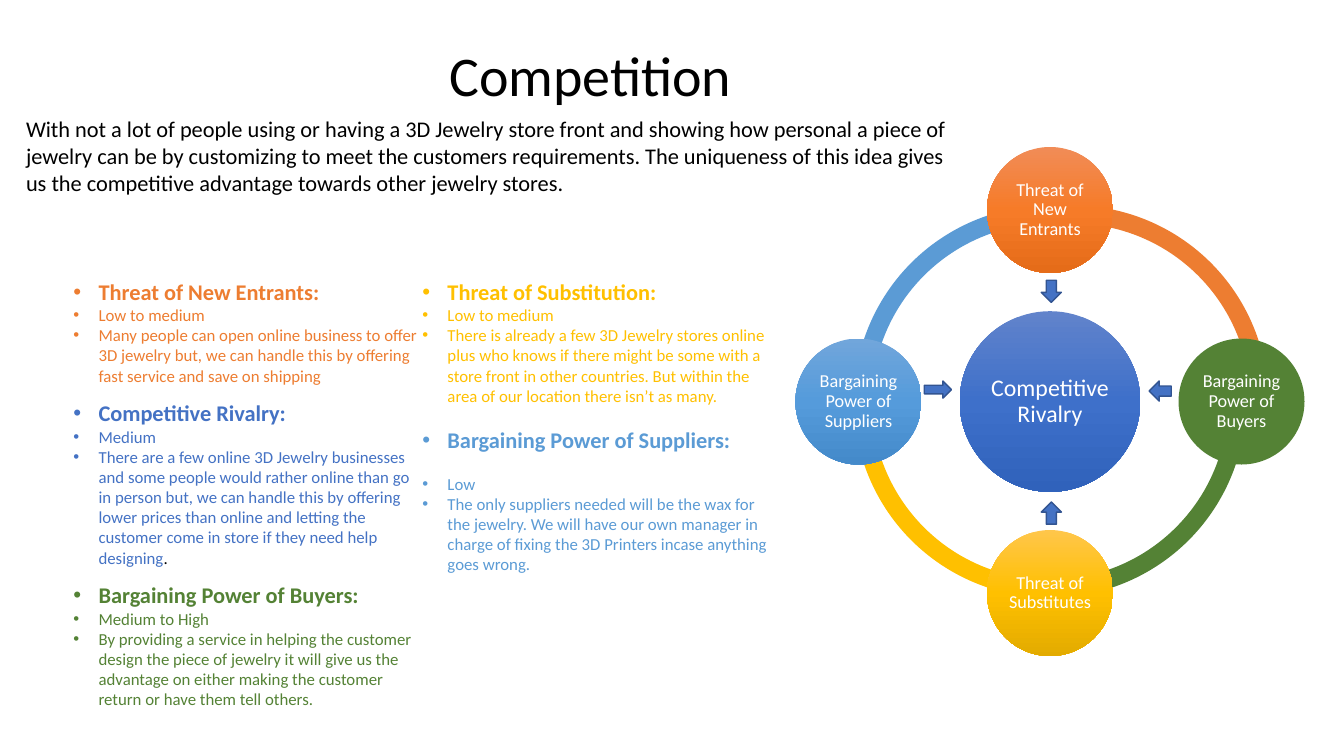
from copy import deepcopy
from dataclasses import dataclass
from math import cos, radians, sin

from lxml import etree
from pptx import Presentation
from pptx.dml.color import RGBColor
from pptx.enum.shapes import MSO_SHAPE
from pptx.enum.text import MSO_ANCHOR, PP_ALIGN
from pptx.oxml.ns import qn
from pptx.util import Inches, Pt

ELLIPSE, BLOCK_ARC = MSO_SHAPE.OVAL, MSO_SHAPE.BLOCK_ARC
RIGHT_ARROW, DOWN_ARROW = MSO_SHAPE.RIGHT_ARROW, MSO_SHAPE.DOWN_ARROW
MIDDLE, TOP = MSO_ANCHOR.MIDDLE, MSO_ANCHOR.TOP
LEFT, CENTER = PP_ALIGN.LEFT, PP_ALIGN.CENTER

FONT = "Calibri"
COLORS = {
    "ink": "000000", "white": "FFFFFF", "orange": "ED7D31", "blue": "4472C4",
    "green": "548235", "gold": "FFC000", "sky": "5B9BD5", "arrow_edge": "325491",
}
GRADIENTS = {
    "blue": ("6183CB", "3E70CA", "3062BB"),
    "orange": ("F18C57", "F67B28", "E56C19"),
    "gold": ("FFC64B", "FFC000", "E3AB00"),
    "sky": ("71A6DB", "559BDB", "448ACA"),
}

# The slide is a square grid of 160 columns by 90 rows.
COLUMNS = 160
SLIDE_WIDTH, SLIDE_HEIGHT = Inches(13.333), Inches(7.5)
CELL = SLIDE_WIDTH / COLUMNS
CENTER_X, CENTER_Y = 125, 47.8
ORBIT, RING_SIZE, NODE_SIZE, HUB_SIZE = 22.8, 46.7, 15, 21.5
RING_THICKNESS = 0.046


@dataclass
class Force:
    """One competitive force explained in the text columns."""
    heading: str
    color: str
    level: str
    detail: str
    ending: str = ""
    space_before: float = 10
    level_space: float = 0


@dataclass
class Node:
    """A circle on the ring, at a clockwise angle in degrees from the right."""
    label: str
    color: str
    angle: int


@dataclass
class RingArc:
    """A quarter of the ring, with its block arc angles and sideways shift."""
    color: str
    start: float
    end: float
    shift: float = 0


@dataclass
class Arrow:
    """A small arrow pointing at the hub, placed by its center."""
    kind: int
    x: float
    y: float
    width: float = 2.4
    height: float = 2.64
    rotation: int = 0


FORCES = [
    Force("Threat of New Entrants:", "orange", "Low to medium",
          "Many people can open online business to offer 3D jewelry but, we can handle "
          "this by offering fast service and save on shipping"),
    Force("Competitive Rivalry:", "blue", "Medium",
          "There are a few online 3D Jewelry businesses and some people would rather "
          "online than go in person but, we can handle this by offering lower prices than "
          "online and letting the customer come in store if they need help designing", "."),
    Force("Bargaining Power of Buyers:", "green", "Medium to High",
          "By providing a service in helping the customer design the piece of jewelry it "
          "will give us the advantage on either making the customer return or have them "
          "tell others."),
    Force("Threat of Substitution:", "gold", "Low to medium",
          "There is already a few 3D Jewelry stores online plus who knows if there might "
          "be some with a store front in other countries. But within the area of our "
          "location there isn’t as many.", space_before=14.6),
    Force("Bargaining Power of Suppliers:", "sky", "Low",
          "The only suppliers needed will be the wax for the jewelry. We will have our own "
          "manager in charge of fixing the 3D Printers incase anything goes wrong.",
          space_before=14.6, level_space=14.6),
]
ARCS = [RingArc("sky", 108, 162), RingArc("gold", 54, 108),
        RingArc("green", 0, 54), RingArc("orange", 162, 0, 2.64)]
NODES = [Node("Threat of New Entrants", "orange", 270),
         Node("Bargaining Power of Buyers", "green", 0),
         Node("Threat of Substitutes", "gold", 90),
         Node("Bargaining Power of Suppliers", "sky", 180)]
ARROWS = [Arrow(RIGHT_ARROW, 111.66, 46.38, 3.24, 2.04),
          Arrow(DOWN_ARROW, 125.16, 34.68),
          Arrow(DOWN_ARROW, 138.12, 46.56, rotation=90),
          Arrow(DOWN_ARROW, 125.16, 61.08, rotation=180)]
INTRO = ("With not a lot of people using or having a 3D Jewelry store front and showing how "
         "personal a piece of jewelry can be by customizing to meet the customers "
         "requirements. The uniqueness of this idea gives us the competitive advantage "
         "towards other jewelry stores.")


def cells(*counts: float) -> list[int]:
    """Turn grid counts into lengths."""
    return [round(count * CELL) for count in counts]


def rgb(name: str) -> RGBColor:
    """Look up a named color."""
    return RGBColor.from_string(COLORS[name])


def write(paragraph, text: str, *, size: float, color: str = "ink", bold: bool = False,
          align=LEFT, line_spacing: float = 1, space_before: float = 0) -> None:
    """Add a formatted run to a paragraph."""
    paragraph.alignment, paragraph.line_spacing = align, line_spacing
    paragraph.space_before = Pt(space_before)
    run = paragraph.add_run()
    run.text = text
    run.font.name, run.font.size, run.font.bold = FONT, Pt(size), bold
    run.font.color.rgb = rgb(color)


def add_text_box(slide, left: float, top: float, width: float, height: float, anchor=TOP):
    """Add a wrapping text box and return its text frame."""
    frame = slide.shapes.add_textbox(*cells(left, top, width, height)).text_frame
    frame.word_wrap, frame.vertical_anchor = True, anchor
    return frame


def add_centered(slide, kind, x: float, y: float, width: float, height: float, color: str):
    """Add a plain filled shape around a center point."""
    shape = slide.shapes.add_shape(
        kind, *cells(x - width / 2, y - height / 2, width, height))
    shape.shadow.inherit = False
    shape.fill.solid()
    shape.fill.fore_color.rgb = rgb(color)
    shape.line.fill.background()
    return shape


def shade(shape, hexes: tuple[str, str, str]) -> None:
    """Fill a shape with a three-stop gradient running downwards."""
    shape.fill.gradient()
    shape.fill.gradient_angle = 270
    stop_list = shape.element.spPr.find(qn("a:gradFill")).find(qn("a:gsLst"))
    stop_list.insert(1, deepcopy(stop_list[0]))
    for stop, value, position in zip(stop_list, hexes, (0, 50000, 100000)):
        stop.set("pos", str(position))
        for child in list(stop):
            stop.remove(child)
        etree.SubElement(stop, qn("a:srgbClr")).set("val", value)


def add_circle(slide, label: str, color: str, x: float, y: float,
               diameter: float, size: float) -> None:
    """Add a labeled circle of the diagram."""
    circle = add_centered(slide, ELLIPSE, x, y, diameter, diameter, color)
    if color in GRADIENTS:
        shade(circle, GRADIENTS[color])
    frame = circle.text_frame
    frame.word_wrap, frame.vertical_anchor = True, MIDDLE
    frame.margin_left = frame.margin_right = Inches(0.02)
    frame.margin_top = frame.margin_bottom = Inches(0.02)
    write(frame.paragraphs[0], label, size=size, color="white", align=CENTER,
          line_spacing=0.9)


def add_bullet(frame, text: str, **text_format):
    """Add a bulleted paragraph to a text frame."""
    first = frame.paragraphs[0]
    paragraph = frame.add_paragraph() if first.runs else first
    write(paragraph, text, **text_format)
    properties = paragraph._p.get_or_add_pPr()
    properties.set("marL", str(Inches(0.25)))
    properties.set("indent", str(-Inches(0.25)))
    etree.SubElement(properties, qn("a:buFont")).set("typeface", "Arial")
    etree.SubElement(properties, qn("a:buChar")).set("char", "•")
    return paragraph


def add_forces(slide) -> None:
    """Explain the forces in a two-column text box."""
    frame = add_text_box(slide, 7.56, 32.5, 85.44, 57.5)
    frame._txBody.bodyPr.set("numCol", "2")
    for force in FORCES:
        add_bullet(frame, force.heading, size=16, color=force.color, bold=True,
                   space_before=force.space_before)
        add_bullet(frame, force.level, size=12, color=force.color,
                   space_before=force.level_space)
        detail = add_bullet(frame, force.detail, size=12, color=force.color)
        if force.ending:
            write(detail, force.ending, size=12)


def add_diagram(slide) -> None:
    """Draw the ring, the hub, its four nodes and the arrows."""
    for arc in ARCS:
        shape = add_centered(slide, BLOCK_ARC, CENTER_X + arc.shift, CENTER_Y,
                             RING_SIZE, RING_SIZE, arc.color)
        for index, value in enumerate((arc.start, arc.end, RING_THICKNESS)):
            shape.adjustments[index] = value
    add_circle(slide, "Competitive Rivalry", "blue", CENTER_X, CENTER_Y, HUB_SIZE, 17)
    for node in NODES:
        angle = radians(node.angle)
        add_circle(slide, node.label, node.color, CENTER_X + ORBIT * cos(angle),
                   CENTER_Y + ORBIT * sin(angle), NODE_SIZE, 13)
    for arrow in ARROWS:
        shape = add_centered(slide, arrow.kind, arrow.x, arrow.y,
                             arrow.width, arrow.height, "blue")
        shape.rotation = arrow.rotation
        shape.line.color.rgb, shape.line.width = rgb("arrow_edge"), Pt(1)


presentation = Presentation()
presentation.slide_width, presentation.slide_height = SLIDE_WIDTH, SLIDE_HEIGHT
slide = presentation.slides.add_slide(presentation.slide_layouts[6])
title = add_text_box(slide, 52.3, 3.4, 55.3, 11.8, MIDDLE)
write(title.paragraphs[0], "Competition", size=40, line_spacing=0.9)
add_forces(slide)
add_diagram(slide)
intro = add_text_box(slide, 1.92, 13.1, 113.76, 10.9)
write(intro.paragraphs[0], INTRO, size=16)
presentation.save("out.pptx")
